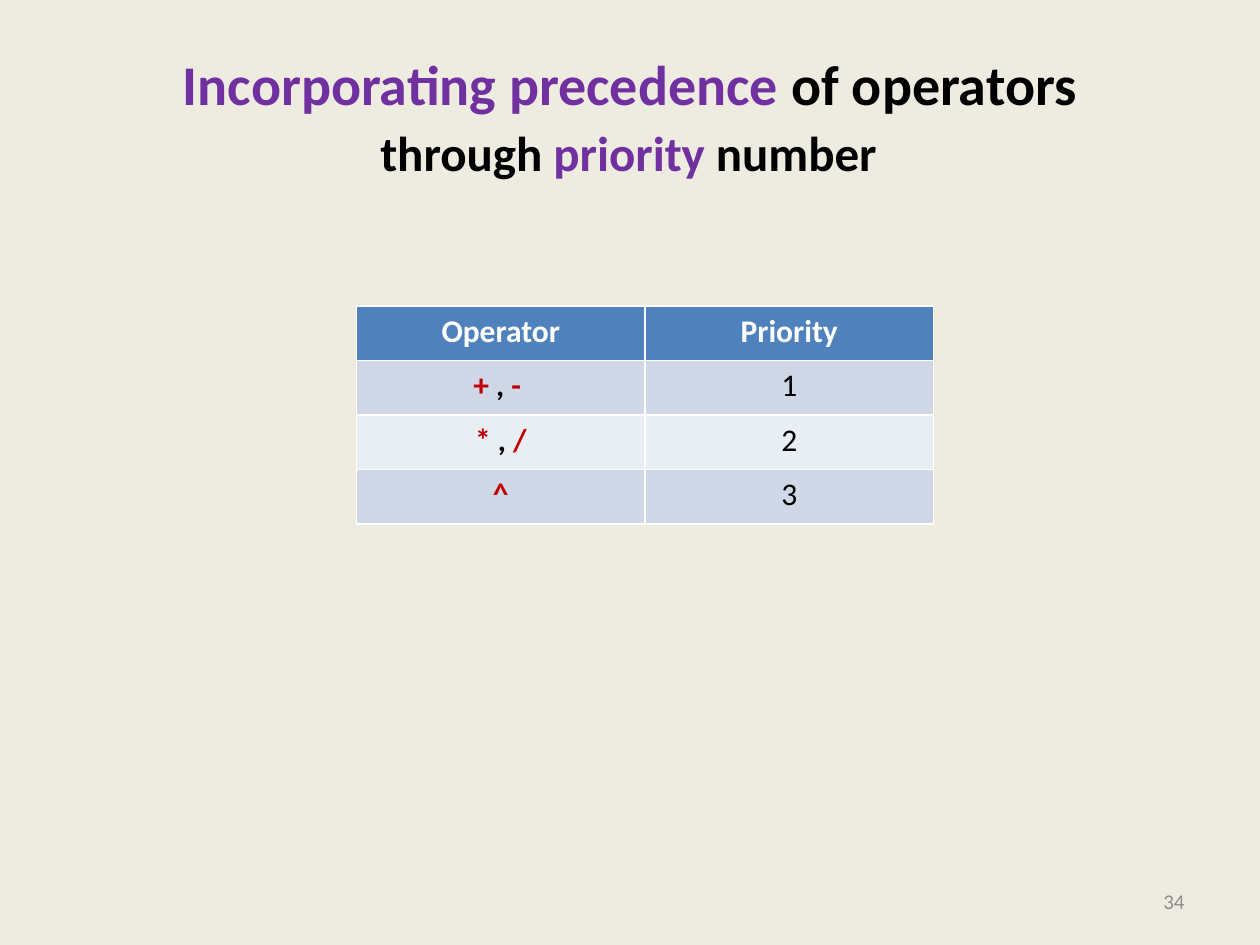
from pptx import Presentation
from pptx.dml.color import RGBColor
from pptx.enum.text import MSO_ANCHOR, MSO_AUTO_SIZE, PP_ALIGN
from pptx.util import Inches, Pt


def color(code):
    return RGBColor.from_string(code)


def write(para, runs, size, bold=True, align=PP_ALIGN.CENTER):
    para.alignment = align
    font = para.font
    font.name, font.size, font.bold = "Calibri", Pt(size), bold
    for text, code in runs:
        run = para.add_run()
        run.text = text
        run.font.color.rgb = color(code)


BLACK, WHITE, RED, PURPLE = "000000", "FFFFFF", "C00000", "7030A0"

deck = Presentation()
deck.slide_width, deck.slide_height = Inches(10), Inches(7.5)
slide = deck.slides.add_slide(deck.slide_layouts[5])
back = slide.background.fill
back.solid()
back.fore_color.rgb = color("EEECE1")

# Title, with its second line left free for the subtitle
title = slide.shapes.title
title.left, title.top = Inches(0.5), Inches(0.3)
title.width, title.height = Inches(9), Inches(1.25)
frame = title.text_frame
frame.vertical_anchor = MSO_ANCHOR.MIDDLE
frame.auto_size = MSO_AUTO_SIZE.NONE
write(frame.paragraphs[0],
      [("Incorporating precedence ", PURPLE), ("of operators", BLACK)], 32)
frame.paragraphs[0].add_line_break()

# Priority table
rows = [
    ([("Operator", WHITE)], "Priority"),
    ([("+ ", RED), (",", BLACK), (" - ", RED)], "1"),
    ([("* ", RED), (",", BLACK), (" /", RED)], "2"),
    ([("^", RED)], "3"),
]
table = slide.shapes.add_table(len(rows), 2, Inches(2.83), Inches(2.43),
                               Inches(4.58), Inches(1.73)).table
for i, (signs, rank) in enumerate(rows):
    head = i == 0
    fill = "4F81BD" if head else ("E9EDF4", "D0D8E8")[i % 2]
    pair = [signs, [(rank, WHITE if head else BLACK)]]
    for j, runs in enumerate(pair):
        cell = table.cell(i, j)
        cell.fill.solid()
        cell.fill.fore_color.rgb = color(fill)
        write(cell.text_frame.paragraphs[0], runs, 18, head or j == 0)

# Slide number
box = slide.shapes.add_textbox(Inches(7.17), Inches(6.95),
                               Inches(2.33), Inches(0.4))
frame = box.text_frame
frame.word_wrap = True
frame.vertical_anchor = MSO_ANCHOR.MIDDLE
write(frame.paragraphs[0], [("34", "8C8C8C")], 12, False, PP_ALIGN.RIGHT)

# Subtitle
box = slide.shapes.add_textbox(Inches(2.92), Inches(0.92),
                               Inches(4.19), Inches(0.57))
frame = box.text_frame
frame.word_wrap = False
frame.auto_size = MSO_AUTO_SIZE.SHAPE_TO_FIT_TEXT
write(frame.paragraphs[0],
      [("through ", BLACK), ("priority", PURPLE), (" number", BLACK)],
      28, align=PP_ALIGN.LEFT)

deck.save("out.pptx")
